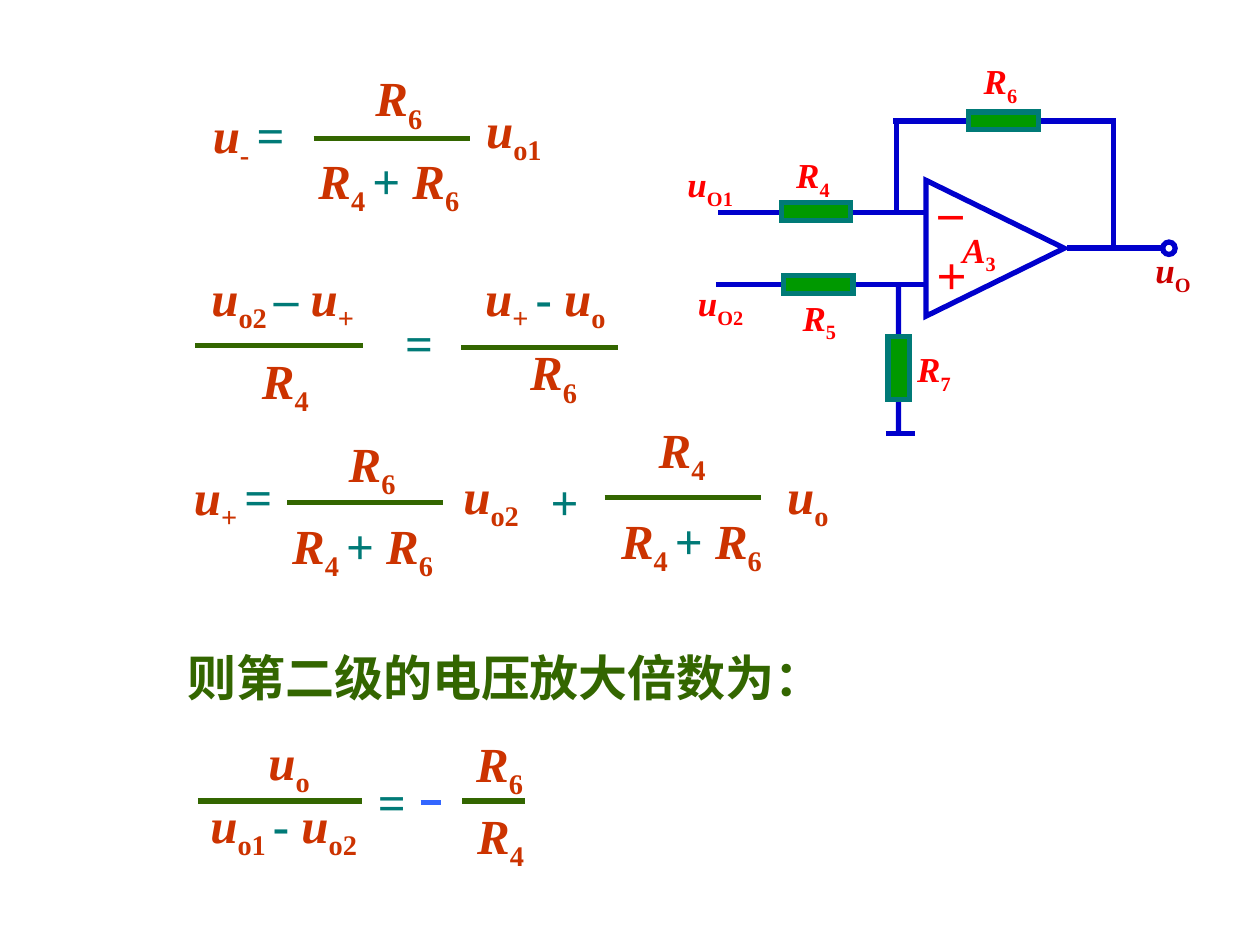
from dataclasses import dataclass

from lxml import etree
from pptx import Presentation, util as u
from pptx.dml import color
from pptx.enum import shapes, text
from pptx.oxml import ns

RED, GREEN, TEAL, BLUE = "CC3300", "336600", "007A77", "0000CC"
LABEL_RED, FONT, STROKE = "FF0000", "Times New Roman", 3
SUM = "*R|_4 |~+ |*R|_6"


@dataclass(frozen=True)
class Label:
    markup: str
    left: float
    top: float
    width: float
    height: float = 1.6
    wrap: bool = False
    size: int = 28
    colour: str = RED


@dataclass(frozen=True)
class Line:
    x1: float
    y1: float
    x2: float
    y2: float
    colour: str = GREEN


@dataclass(frozen=True)
class Part:
    kind: shapes.MSO_SHAPE
    left: float
    top: float
    width: float
    height: float
    fill: str | None = None
    line: str = BLUE
    rotation: int = 0


def bar(left: float, right: float, y: float, colour: str = GREEN) -> Line:
    return Line(left, y, right, y, colour)


def wire(x1: float, y1: float, x2: float, y2: float) -> Line:
    return Line(x1, y1, x2, y2, BLUE)


def tag(markup: str, left: float, top: float, width: float,
        height: float = 1.22, colour: str = LABEL_RED) -> Label:
    return Label(markup, left, top, width, height, True, 20, colour)


def resistor(left: float, top: float, width: float = 1.4, height: float = 0.36) -> Part:
    return Part(shapes.MSO_SHAPE.RECTANGLE, left, top, width, height, "009900", TEAL)


def rgb(value: str) -> color.RGBColor:
    return color.RGBColor.from_string(value)


def assign(target, values: dict) -> None:
    for name, value in values.items():
        setattr(target, name, value)


def draw_label(canvas, label: Label):
    box = canvas.add_textbox(*map(u.Cm, (label.left, label.top, label.width, label.height)))
    assign(box.text_frame, {
        "word_wrap": label.wrap,
        "auto_size": text.MSO_AUTO_SIZE.SHAPE_TO_FIT_TEXT,
        "margin_left": u.Cm(0.25), "margin_right": u.Cm(0.25),
        "margin_top": u.Cm(0.13), "margin_bottom": u.Cm(0.13),
    })
    para = box.text_frame.paragraphs[0]
    for piece in label.markup.split("|"):
        mark = piece[0] if piece[0] in "*_~" else ""
        span = para.add_run()
        span.text = piece[len(mark):]
        assign(span.font, {"name": FONT, "size": u.Pt(label.size),
                           "bold": True, "italic": mark == "*"})
        span.font.color.rgb = rgb(TEAL if mark == "~" else label.colour)
        if mark == "_":
            span.font._element.set("baseline", "-25000")
    return box


def draw_line(canvas, line: Line):
    connector = canvas.add_connector(
        shapes.MSO_CONNECTOR.STRAIGHT, *map(u.Cm, (line.x1, line.y1, line.x2, line.y2)))
    connector.line.width = u.Pt(STROKE)
    connector.line.color.rgb = rgb(line.colour)
    etree.SubElement(connector._element.spPr, ns.qn("a:effectLst"))
    return connector


def draw_part(canvas, part: Part):
    shape = canvas.add_shape(
        part.kind, *map(u.Cm, (part.left, part.top, part.width, part.height)))
    shape.rotation = part.rotation
    shape.shadow.inherit = False
    if part.fill:
        shape.fill.solid()
        shape.fill.fore_color.rgb = rgb(part.fill)
    else:
        shape.fill.background()
    shape.line.width = u.Pt(STROKE)
    shape.line.color.rgb = rgb(part.line)
    outline = shape._element.spPr.find(ns.qn("a:ln"))
    etree.SubElement(outline, ns.qn("a:miter"), lim="800000")
    return shape


DRAW = {Label: draw_label, Line: draw_line, Part: draw_part}

GAIN = [
    bar(3.99, 7.29, 16.15),
    Label("*u|_o1 |~- |*u|_o2", 3.99, 15.88, 3.65),
    Label("*u|_o", 5.16, 14.61, 1.4),
    Label("~=", 7.37, 15.42, 1.07, 1.45),
    bar(8.48, 8.89, 16.18, "3366FF"),
    Label("*R|_6", 9.35, 14.66, 1.5),
    bar(9.32, 10.59, 16.15),
    Label("*R|_4", 9.37, 16.1, 1.5),
]
CURRENTS = [
    Label("*u|_o2 |~– |*u|_+", 4.01, 5.26, 3.5),
    Label("*u|_+ |~- |*u|_o", 9.53, 5.26, 3.12),
    bar(3.94, 7.32, 6.96),
    bar(9.3, 12.45, 7.01),
    Label("*R|_4", 5.03, 6.93, 1.57, wrap=True),
    Label("*R|_6", 10.44, 6.76, 1.73, wrap=True),
    Label("~=", 7.92, 6.17, 1.07, 1.45),
]
PLUS_INPUT = [
    Label(SUM, 5.64, 10.26, 3.45),
    Label("*u|_+ |~=", 3.66, 9.27, 2.34),
    Label("*R|_4", 13.03, 8.33, 1.57, wrap=True),
    Label("*R|_6", 6.78, 8.61, 1.73, wrap=True),
    bar(5.79, 8.94, 10.13),
    Label("*u|_o2", 9.09, 9.25, 2.08, wrap=True),
    Label("~+", 10.85, 9.37, 1.07, 1.45),
    Label(SUM, 12.27, 10.16, 3.45),
    bar(12.19, 15.34, 10.03),
    Label("*u|_o", 15.62, 9.25, 1.4),
]
MINUS_INPUT = [
    Label("*u|_- |~=", 4.04, 1.98, 2.18),
    Label(SUM, 6.17, 2.9, 3.45),
    Label("*R|_6", 7.32, 1.24, 1.73, wrap=True),
    bar(6.32, 9.47, 2.79),
    Label("*u|_o1", 9.55, 1.88, 2.08, wrap=True),
]
CIRCUIT = [
    wire(14.48, 4.29, 18.69, 4.29),
    wire(14.43, 5.74, 18.69, 5.74),
    wire(18.01, 2.44, 22.5, 2.44),
    wire(18.08, 2.49, 18.08, 4.24),
    wire(22.45, 2.41, 22.45, 5.05),
    wire(21.51, 5, 23.42, 5),
    wire(17.86, 8.74, 18.44, 8.74),
    resistor(15.75, 4.09),
    resistor(15.8, 5.56),
    resistor(19.53, 2.26),
    Part(shapes.MSO_SHAPE.ISOSCELES_TRIANGLE, 18.69, 3.61, 2.74, 2.79, rotation=90),
    Part(shapes.MSO_SHAPE.OVAL, 23.44, 4.88, 0.25, 0.25),
    tag("*u|_O", 23.04, 4.88, 2.36, colour="CC0000"),
    tag("*R|_5", 15.93, 5.84, 2.39),
    tag("－", 18.57, 3.84, 1.4, 1.12),
    tag("＋", 18.59, 5.03, 1.19, 1.12),
    tag("*A|_3", 19.15, 4.47, 2.16),
    tag("*R|_4", 15.8, 2.97, 2.31),
    tag("*R|_6", 19.58, 1.07, 2.46),
    tag("*u|_O2", 13.82, 5.54, 2.54),
    tag("*u|_O1", 13.61, 3.15, 2.79),
    tag("*R|_7", 18.24, 6.88, 2.74),
]


def main() -> None:
    deck = Presentation()
    assign(deck, {"slide_width": u.Cm(25.4), "slide_height": u.Cm(19.05)})
    page = deck.slides.add_slide(deck.slide_layouts[6])
    for items in (GAIN, CURRENTS, PLUS_INPUT, MINUS_INPUT, CIRCUIT):
        canvas = page.shapes.add_group_shape().shapes
        for item in items:
            DRAW[type(item)](canvas, item)
    to_ground = draw_part(canvas, resistor(17.9, 6.78, 0.43, 1.27))
    draw_line(canvas, wire(18.11, 5.74, 18.11, 6.78)).end_connect(to_ground, 0)
    draw_line(canvas, wire(18.11, 8.05, 18.11, 8.74)).begin_connect(to_ground, 2)
    to_ground._element.getparent().append(to_ground._element)
    draw_label(page.shapes, Label("则第二级的电压放大倍数为：", 3.53, 12.93, 17.37, 1.45,
                                  True, colour=GREEN))
    deck.save("out.pptx")


if __name__ == "__main__":
    main()
